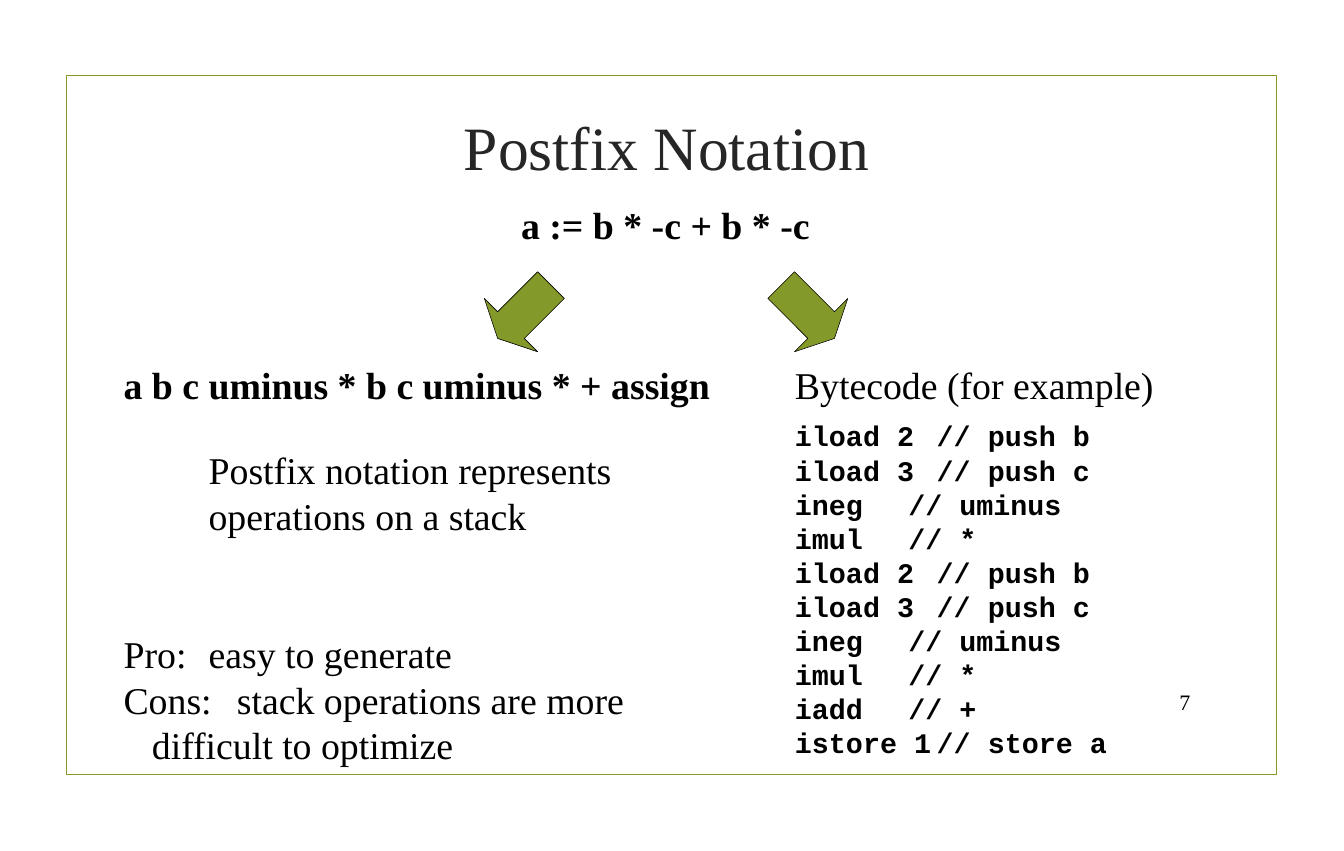
from pptx import Presentation
from pptx.dml.color import RGBColor
from pptx.enum import shapes, text
from pptx.util import Inches, Pt

SERIF, MONO = "Times New Roman", "Courier New"
GREEN, BLACK, TITLE_GREY = "83992A", "000000", "262626"
LINE_PITCH = 1.2

BYTECODE = [
    ("iload 2", "push b"), ("iload 3", "push c"), ("ineg", "uminus"), ("imul", "*"),
    ("iload 2", "push b"), ("iload 3", "push c"), ("ineg", "uminus"), ("imul", "*"),
    ("iadd", "+"), ("istore 1", "store a"),
]
TAB_WIDTH = 1  # inches, the default tab grid
COMMENT_COLUMN = 3  # inches from the start of the code
CHAR_WIDTH = 0.3  # inches, 36 pt monospace


def colour(value):
    return RGBColor.from_string(value)


def format_font(paragraph, size, name=SERIF, shade=BLACK, bold=False):
    font = paragraph.font
    font.name, font.size, font.bold = name, Pt(size), bold
    font.color.rgb = colour(shade)


def add_text(slide, box, lines, size=48, name=SERIF, bold=False):
    """Place unwrapped lines, one paragraph each, in a box given in inches."""
    frame = slide.shapes.add_textbox(*map(Inches, box)).text_frame
    frame.word_wrap = False
    frame.auto_size = text.MSO_AUTO_SIZE.SHAPE_TO_FIT_TEXT
    frame.text = "\n".join(lines)
    for paragraph in frame.paragraphs:
        paragraph.line_spacing = Pt(size * LINE_PITCH)
        format_font(paragraph, size, name, bold=bold)
    return frame


def add_frame(slide, box):
    border = slide.shapes.add_shape(shapes.MSO_SHAPE.RECTANGLE, *map(Inches, box))
    border.shadow.inherit = False
    border.fill.background()
    border.line.color.rgb = colour(GREEN)
    border.line.width = Pt(1.25)


def add_title(slide, box, wording):
    title = slide.shapes.title
    title.left, title.top, title.width, title.height = map(Inches, box)
    title.text_frame.text = wording
    title.text_frame.vertical_anchor = text.MSO_ANCHOR.MIDDLE
    paragraph = title.text_frame.paragraphs[0]
    paragraph.alignment = text.PP_ALIGN.CENTER
    format_font(paragraph, 78.2, shade=TITLE_GREY)


def add_arrow(slide, box, rotation):
    arrow = slide.shapes.add_shape(shapes.MSO_SHAPE.RIGHT_ARROW, *map(Inches, box))
    arrow.adjustments[0], arrow.adjustments[1] = 0.5, 0.25
    arrow.rotation = rotation
    arrow.shadow.inherit = False
    arrow.fill.solid()
    arrow.fill.fore_color.rgb = colour(GREEN)
    arrow.line.color.rgb = colour(BLACK)
    arrow.line.width = Pt(0.75)


def add_expression(slide, left, top):
    """The source expression with an arrow to each of its translations."""
    add_text(slide, (left, top, 5.35, 0.91), ["a := b * -c + b * -c"], bold=True)
    for arrow_left, rotation in ((left + 4.49, 45), (left - 0.51, 135)):
        add_arrow(slide, (arrow_left, top + 1.33, 1.33, 1.33), rotation)


def add_postfix(slide, left, top):
    """Postfix form, its meaning, and its pros and cons."""
    add_text(slide, (left, top, 10.65, 0.91),
             ["a b c uminus * b c uminus * + assign"], bold=True)
    add_text(slide, (left + 1.5, top + 1.5, 7.38, 1.72),
             ["Postfix notation represents", "operations on a stack"])
    add_text(slide, (left, top + 4.74, 9.11, 2.52),
             ["Pro:\teasy to generate",
              "Cons:\tstack operations are more\v\tdifficult to optimize"])


def code_line(instruction, comment):
    used = int(len(instruction) * CHAR_WIDTH / TAB_WIDTH)
    return instruction + "\t" * (COMMENT_COLUMN - used) + "// " + comment


def add_bytecode(slide, left, top):
    """Heading and listing; the listing is one paragraph with line breaks."""
    add_text(slide, (left, top, 6.59, 0.91), ["Bytecode (for example)"])
    listing = "\v".join(code_line(*entry) for entry in BYTECODE)
    add_text(slide, (left, top + 1, 6.26, 6.16), [listing], 36, MONO, bold=True)


def add_page_number(slide, box, number):
    frame = add_text(slide, box, [number], 28)
    frame.auto_size = text.MSO_AUTO_SIZE.NONE
    frame.word_wrap = True
    frame.vertical_anchor = text.MSO_ANCHOR.MIDDLE
    frame.paragraphs[0].alignment = text.PP_ALIGN.RIGHT


def main():
    deck = Presentation()
    deck.slide_width, deck.slide_height = Inches(23.7), Inches(15)
    slide = deck.slides.add_slide(deck.slide_layouts[5])

    add_frame(slide, (1.18, 1.33, 21.33, 12.33))
    add_page_number(slide, (20.03, 12.06, 1.06, 0.61), "7")
    add_title(slide, (2.42, 1.15, 18.67, 2.85), "Postfix Notation")
    add_expression(slide, 9.09, 3.5)
    add_postfix(slide, 2.08, 6.33)
    add_bytecode(slide, 13.92, 6.33)

    deck.save("out.pptx")


if __name__ == "__main__":
    main()
